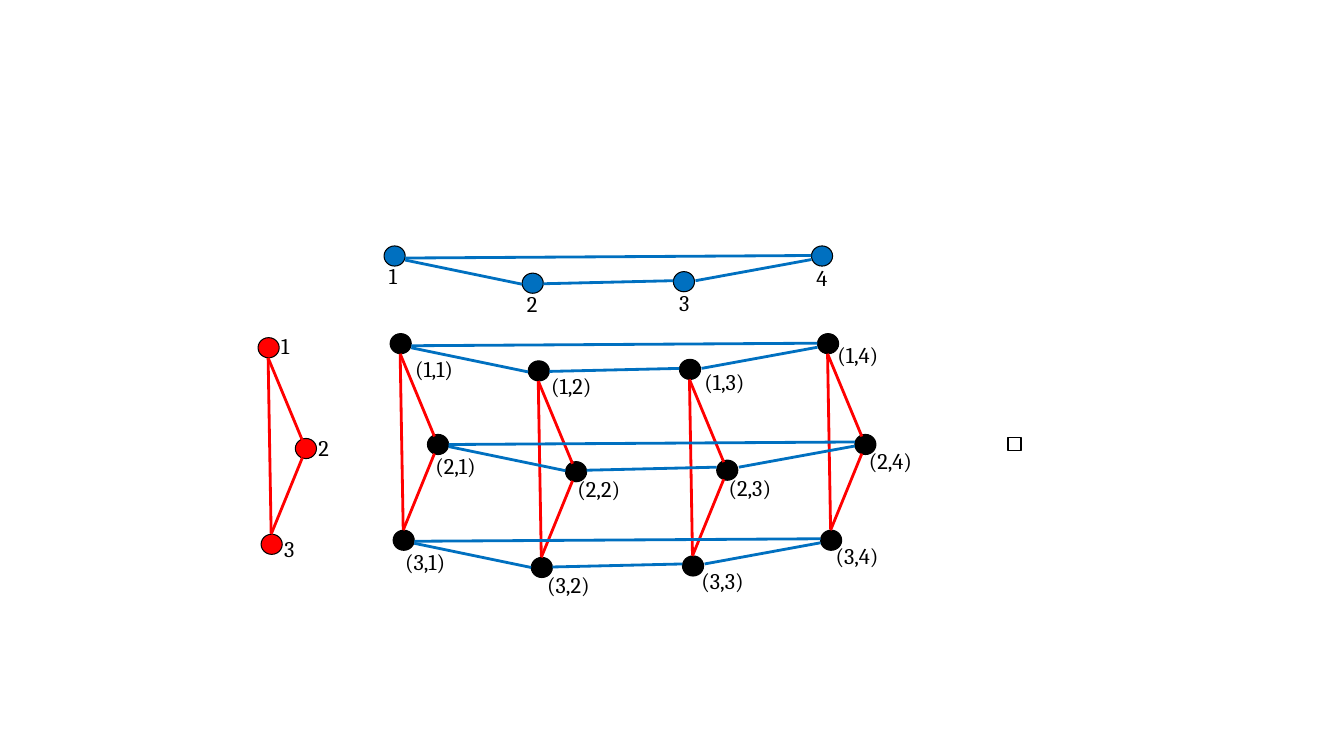
"""Draw the product of a three-node cycle and a four-node cycle."""
from lxml.etree import SubElement
from pptx import Presentation
from pptx.dml.color import RGBColor
from pptx.enum.shapes import MSO_CONNECTOR, MSO_SHAPE
from pptx.enum.text import MSO_AUTO_SIZE, PP_ALIGN
from pptx.oxml.ns import qn
from pptx.util import Inches, Pt

CELL = 0.1
COLORS = {"black": "000000", "red": "FF0000", "blue": "0070C0"}
NODE_SIZE = (2.1, 2)
TRIANGLE_NODES = [(0, 0), (3.7, 10), (0.3, 19.5)]
TRIANGLE_EDGES = [((1.3, 19.5), (4.4, 11.9)), ((1, 2), (4.4, 10.2)), ((1, 2), (1.3, 19.4))]
RING_NODES = [(0, 0), (13.7, 2.7), (28.7, 2.55), (42.4, 0)]
RING_EDGES = [((2.1, 1.4), (13.7, 3.8)), ((30.9, 3.45), (42.4, 1.35)),
              ((15.8, 3.75), (28.7, 3.45)), ((2.1, 1.2), (42.4, 0.95))]
PRODUCT = (38.7, 33.1)
RED_FACTOR = (25.6, 33.5)
BLUE_FACTOR = (38.1, 24.4)
RING_LIFTS = [0, 0.2, 0.1]
LABEL_WIDTHS = [6.4, 7.8, 12.8]
PRODUCT_LABELS = [
    [(40.2, 34.7), (53.7, 36.4), (68.9, 36), (82.1, 33.4)],
    [(42.2, 44.4), (56.3, 46.6), (71.3, 46.5), (85.2, 43.9)],
    [(39.2, 53.9), (53.3, 56.2), (68.6, 55.8), (81.9, 53.3)],
]
RED_LABELS = [(26.9, 32.5), (30.6, 42.6), (27.2, 52.6)]
BLUE_LABELS = [(37.6, 25.5), (51.3, 28.3), (66.4, 28.2), (80, 25.7)]


def grid(*cells):
    """Turn counts of grid cells into lengths."""
    return [Inches(cell * CELL) for cell in cells]


def shift(origin, offset):
    """Move a point by an offset."""
    return origin[0] + offset[0], origin[1] + offset[1]


def paint(color):
    """Return a named colour."""
    return RGBColor.from_string(COLORS[color])


def add_mark(page, kind, corner, size, fill=None, weight=0.75):
    """Add a small outlined shape, filled if a colour is given."""
    mark = page.shapes.add_shape(kind, *grid(*corner, *size))
    mark.shadow.inherit = False
    if fill:
        mark.fill.solid()
        mark.fill.fore_color.rgb = paint(fill)
    else:
        mark.fill.background()
    mark.line.color.rgb = paint("black")
    mark.line.width = Pt(weight)


def add_nodes(page, origin, offsets, color):
    """Add the round nodes of one cycle."""
    for offset in offsets:
        add_mark(page, MSO_SHAPE.OVAL, shift(origin, offset), NODE_SIZE, fill=color)


def add_edges(page, origin, edges, color):
    """Add the straight edges of one cycle."""
    for start, end in edges:
        edge = page.shapes.add_connector(
            MSO_CONNECTOR.STRAIGHT, *grid(*shift(origin, start), *shift(origin, end)))
        edge.line.color.rgb = paint(color)
        edge.line.width = Pt(2)
        SubElement(edge._element.spPr, qn("a:effectLst"))


def add_label(page, text, corner, width=6.4, size=16, font="Cambria", color="black"):
    """Add a left-aligned text label."""
    box = page.shapes.add_textbox(*grid(*corner, width, 3.7))
    frame = box.text_frame
    frame.word_wrap = True
    frame.auto_size = MSO_AUTO_SIZE.SHAPE_TO_FIT_TEXT
    para = frame.paragraphs[0]
    para.alignment = PP_ALIGN.LEFT
    span = para.add_run()
    span.text = text
    span.font.size = Pt(size)
    span.font.name = font
    span.font.color.rgb = paint(color)


def add_product(page):
    """Add the product graph with its pair labels."""
    for offset in RING_NODES:
        corner = shift(PRODUCT, offset)
        add_nodes(page, corner, TRIANGLE_NODES, "black")
        add_edges(page, corner, TRIANGLE_EDGES, "red")
    for offset, lift in zip(TRIANGLE_NODES, RING_LIFTS):
        add_edges(page, shift(shift(PRODUCT, offset), (0, -lift)), RING_EDGES, "blue")
    for row, (corners, width) in enumerate(zip(PRODUCT_LABELS, LABEL_WIDTHS), 1):
        for column, corner in enumerate(corners, 1):
            add_label(page, f"({row},{column})", corner, width=width)


def add_factor(page, origin, nodes, edges, labels, color):
    """Add one numbered factor graph."""
    add_nodes(page, origin, nodes, color)
    add_edges(page, origin, edges, color)
    for number, corner in enumerate(labels, 1):
        add_label(page, str(number), corner)


def main():
    """Build and save the slide."""
    deck = Presentation()
    deck.slide_width, deck.slide_height = grid(133.33, 75)
    page = deck.slides.add_slide(deck.slide_layouts[6])
    add_product(page)
    add_factor(page, RED_FACTOR, TRIANGLE_NODES, TRIANGLE_EDGES, RED_LABELS, "red")
    add_factor(page, BLUE_FACTOR, RING_NODES, RING_EDGES, BLUE_LABELS, "blue")
    add_mark(page, MSO_SHAPE.RECTANGLE, (100, 43.4), (1.3, 1.3), weight=1)
    deck.save("out.pptx")


if __name__ == "__main__":
    main()
